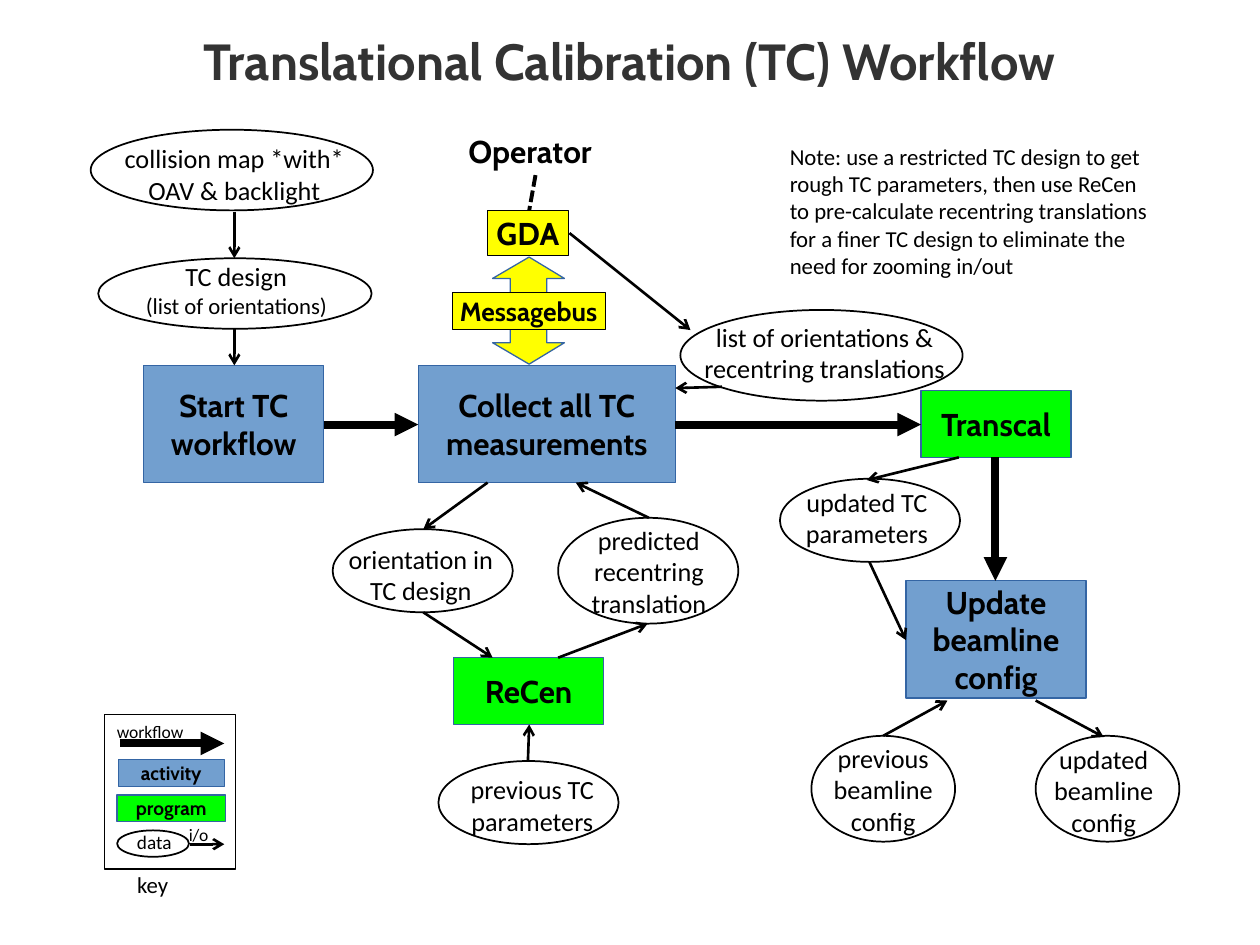
from dataclasses import dataclass
from pptx import Presentation, util as u
from pptx.dml.color import RGBColor
from pptx.enum import dml, shapes, text
from pptx.oxml import parse_xml
from pptx.oxml.ns import nsdecls


@dataclass(frozen=True)
class Theme:
    head: str = "Cabin"
    body: str = "Calibri"
    ink: str = "000000"
    title: str = "333333"
    blue: str = "729FCF"
    edge: str = "3465A4"
    green: str = "00FF00"
    yellow: str = "FFFF00"
    huge: int = 29
    large: int = 18
    data: int = 15
    note: int = 13
    key: int = 11
    tiny: int = 10


T = Theme()
Kind = shapes.MSO_SHAPE
MID = text.PP_ALIGN.CENTER
LEFT = text.PP_ALIGN.LEFT
rgb = RGBColor.from_string


def write(shape, words, size, font=T.body, color=T.ink, align=MID,
          wrap=False, side=0.1, top=0.05):
    """Set the text of a shape; headings in the head font are bold."""
    frame = shape.text_frame
    frame.text = words
    frame.word_wrap = wrap
    frame.margin_left = frame.margin_right = u.Inches(side)
    frame.margin_top = frame.margin_bottom = u.Inches(top)
    for par in frame.paragraphs:
        par.alignment = align
        for run in par.runs:
            run.font.name = font
            run.font.size = u.Pt(size)
            run.font.bold = font == T.head
            run.font.color.rgb = rgb(color)


def link(start, end, width, tail=None):
    line = slide.shapes.add_connector(
        shapes.MSO_CONNECTOR.STRAIGHT, *map(u.Inches, start + end))
    line.line.color.rgb = rgb(T.ink)
    line.line.width = u.Pt(width)
    if tail:
        line.line._get_or_add_ln().append(
            parse_xml(f'<a:tailEnd {nsdecls("a")} type="{tail}"/>'))
    line._element.spPr.append(parse_xml(f'<a:effectLst {nsdecls("a")}/>'))
    return line


deck = Presentation()
deck.slide_width, deck.slide_height = u.Inches(10), u.Inches(7.5)
slide = deck.slides.add_slide(deck.slide_layouts[5])

title = slide.shapes.title
title.left, title.top, title.width, title.height = map(
    u.Inches, (0.73, 0.15, 8.54, 0.65))
write(title, "Translational Calibration (TC) Workflow", T.huge, T.head,
      T.title, wrap=True, side=0, top=0)
title.text_frame.auto_size = text.MSO_AUTO_SIZE.NONE
title.text_frame.vertical_anchor = text.MSO_ANCHOR.MIDDLE

# Double arrow between GDA and the measurements
points = [(4.2, 2.04), (4.48, 2.21), (4.34, 2.21), (4.34, 2.72), (4.48, 2.72),
          (4.2, 2.89), (3.91, 2.72), (4.05, 2.72), (4.05, 2.21), (3.91, 2.21)]
trace = [(u.Inches(x), u.Inches(y)) for x, y in points]
path = slide.shapes.build_freeform(*trace[0])
path.add_line_segments(trace[1:], close=True)
arrow = path.convert_to_shape()
arrow.shadow.inherit = False
arrow.fill.solid()
arrow.fill.fore_color.rgb = rgb(T.yellow)
arrow.line.color.rgb = rgb(T.edge)
arrow.line.width = u.Pt(0.75)

# Filled boxes: kind, place, fill, edge, edge width, words, size
step, tool = Kind.RECTANGLE, Kind.FLOWCHART_PROCESS
boxes = [
    (step, (3.32, 2.9, 2.04, 0.93), T.blue, T.edge, 0.75,
     "Collect all TC measurements", T.large),
    (step, (1.14, 2.9, 1.43, 0.93), T.blue, T.edge, 0.75,
     "Start TC workflow", T.large),
    (step, (7.19, 4.61, 1.43, 0.93), T.blue, T.edge, 0.75,
     "Update beamline config", T.large),
    (tool, (3.59, 2.32, 1.21, 0.29), T.yellow, T.ink, 0.28,
     "Messagebus", T.data),
    (tool, (3.87, 1.67, 0.64, 0.36), T.yellow, T.ink, 0.28, "GDA", T.large),
    (tool, (7.31, 3.1, 1.19, 0.53), T.green, T.edge, 0.75,
     "Transcal", T.large),
    (tool, (3.6, 5.22, 1.19, 0.53), T.green, T.edge, 0.75, "ReCen", T.large),
    (step, (0.94, 6.03, 0.84, 0.21), T.blue, T.edge, 0.75, "activity", T.key),
    (tool, (0.93, 6.31, 0.86, 0.21), T.green, T.edge, 0.75,
     "program", T.key),
]
for kind, place, fill, edge, width, words, size in boxes:
    box = slide.shapes.add_shape(kind, *map(u.Inches, place))
    box.shadow.inherit = False
    box.fill.solid()
    box.fill.fore_color.rgb = rgb(fill)
    box.line.color.rgb = rgb(edge)
    box.line.width = u.Pt(width)
    write(box, words, size, T.head, wrap=kind == step, side=0.09, top=0.04)
    box.text_frame.vertical_anchor = text.MSO_ANCHOR.MIDDLE

# Outlines: the data ovals and the frame of the key
ovals = [
    (2.64, 4.2, 1.43, 0.66), (3.48, 6.04, 1.43, 0.66),
    (4.43, 4.11, 1.43, 0.84), (6.19, 3.8, 1.43, 0.66),
    (6.44, 5.84, 1.14, 0.84), (8.22, 5.84, 1.14, 0.84),
    (5.4, 2.46, 2.24, 0.72), (0.72, 1.03, 2.24, 0.64),
    (0.78, 2.05, 2.17, 0.56), (0.93, 6.59, 0.57, 0.21),
]
outlines = [(Kind.OVAL, place) for place in ovals]
outlines.append((Kind.RECTANGLE, (0.83, 5.67, 1.04, 1.23)))
for kind, place in outlines:
    ring = slide.shapes.add_shape(kind, *map(u.Inches, place))
    ring.shadow.inherit = False
    ring.fill.background()
    ring.line.color.rgb = rgb(T.ink)
    ring.line.width = u.Pt(1)

# Free labels: place, words, size, font, alignment
names = [
    ((2.66, 4.26, 1.36, 0.61), "orientation in\nTC design"),
    ((3.63, 6.09, 1.19, 0.61), "previous TC\nparameters"),
    ((4.59, 4.11, 1.12, 0.86), "predicted\nrecentring\ntranslation"),
    ((6.29, 3.81, 1.18, 0.61), "updated TC\nparameters"),
    ((6.51, 5.84, 1, 0.86), "previous\nbeamline\nconfig"),
    ((8.26, 5.85, 1, 0.86), "updated\nbeamline\nconfig"),
    ((5.48, 2.5, 2.13, 0.61),
     "list of orientations &\nrecentring translations"),
    ((0.88, 1.08, 1.96, 0.61), "collision map *with*\nOAV & backlight"),
    ((1.04, 2.02, 1.67, 0.57), "TC design\n(list of orientations)"),
]
labels = [(place, words, T.data, T.body, MID) for place, words in names]
labels += [
    ((0.94, 6.54, 0.57, 0.29), "data", T.key, T.body, MID),
    ((0.83, 5.67, 0.87, 0.27), "workflow", T.tiny, T.body, LEFT),
    ((1.4, 6.49, 0.43, 0.27), "i/o", T.tiny, T.body, LEFT),
    ((0.99, 6.86, 0.52, 0.31), "key", T.note, T.body, LEFT),
    ((3.62, 1, 1.26, 0.39), "Operator", T.large, T.head, LEFT),
    ((6.17, 1.08, 3.21, 1.19),
     "Note: use a restricted TC design to get rough TC parameters, "
     "then use ReCen\nto pre-calculate recentring translations for a finer "
     "TC design to eliminate the need for zooming in/out",
     T.note, T.body, LEFT),
]
for place, words, size, font, align in labels:
    label = slide.shapes.add_textbox(*map(u.Inches, place))
    write(label, words, size, font, align=align,
          wrap=words.startswith("Note"))
    label.text_frame.auto_size = text.MSO_AUTO_SIZE.SHAPE_TO_FIT_TEXT
    for par in label.text_frame.paragraphs:
        if par.text.startswith("("):
            par.runs[0].font.size = u.Pt(T.note)

flows = [
    ((2.57, 3.37), (3.32, 3.37)), ((5.36, 3.37), (7.31, 3.37)),
    ((7.9, 3.63), (7.9, 4.61)), ((0.95, 5.9), (1.78, 5.9)),
]
for start, end in flows:
    link(start, end, 4.5, "triangle")

moves = [
    ((1.86, 1.68), (1.86, 2.05)), ((1.86, 2.61), (1.86, 2.9)),
    ((4.19, 6.04), (4.2, 5.75)), ((7.01, 5.84), (7.52, 5.56)),
    ((8.22, 5.56), (8.76, 5.85)), ((4.52, 1.85), (5.48, 2.62)),
    ((5.73, 3.07), (5.36, 3.08)), ((7.61, 3.63), (6.88, 3.81)),
    ((6.9, 4.46), (7.19, 5.08)), ((3.87, 3.83), (3.36, 4.2)),
    ((3.36, 4.86), (3.91, 5.22)), ((4.43, 5.22), (5.14, 4.95)),
    ((5.15, 4.11), (4.57, 3.83)), ((1.51, 6.7), (1.78, 6.7)),
]
for start, end in moves:
    link(start, end, 1.5, "arrow")

dash = link((4.25, 1.39), (4.2, 1.67), 2.25)
dash.line.dash_style = dml.MSO_LINE.SQUARE_DOT

deck.save("out.pptx")
